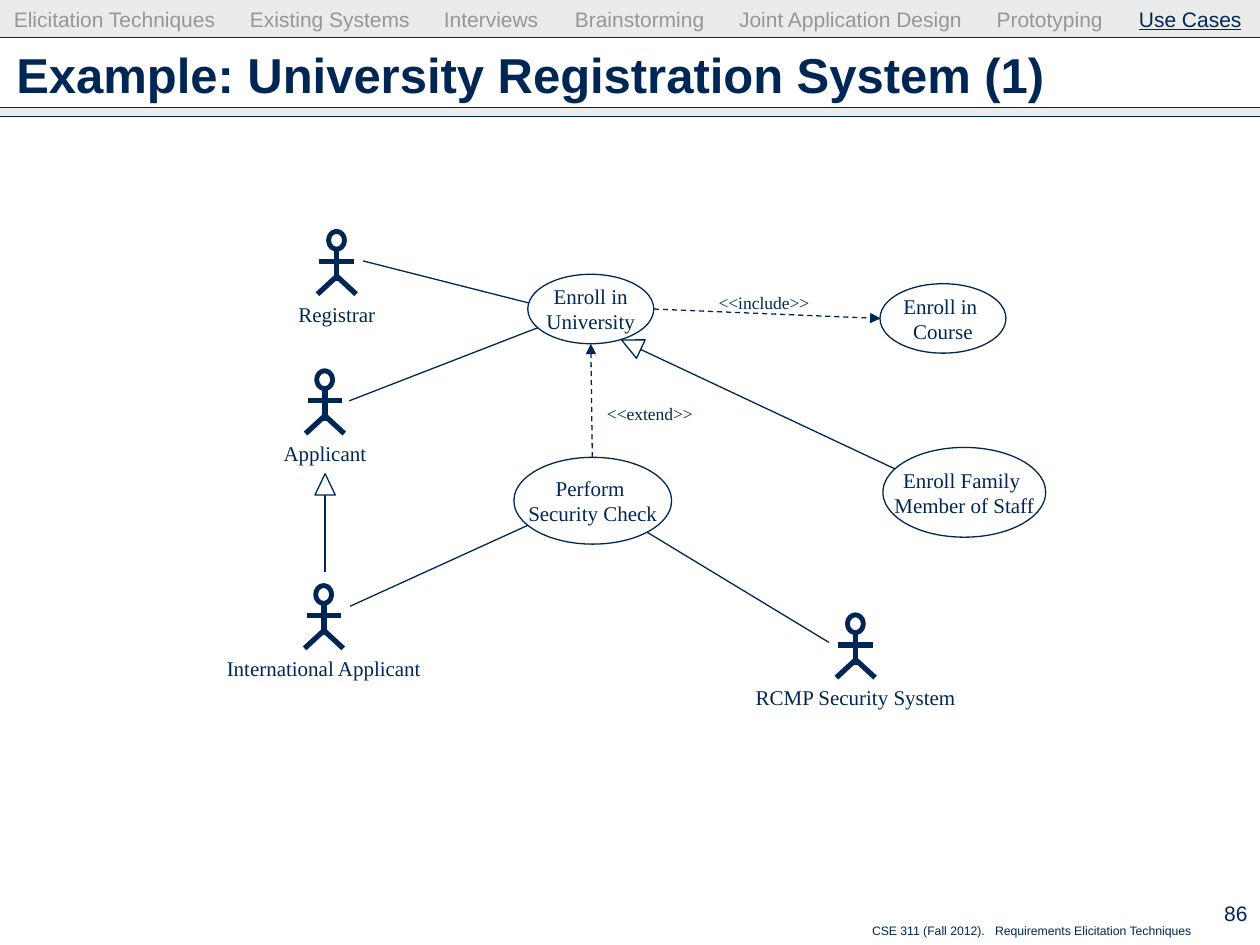
from dataclasses import dataclass

from lxml.etree import SubElement
from pptx import Presentation
from pptx.dml.color import RGBColor
from pptx.enum.dml import MSO_LINE_DASH_STYLE as Dash
from pptx.enum.shapes import MSO_CONNECTOR as Connector, MSO_SHAPE as Preset
from pptx.enum.text import MSO_ANCHOR as Anchor, PP_ALIGN as Align
from pptx.oxml.ns import qn
from pptx.util import Cm, Pt


@dataclass(frozen=True)
class Theme:
    navy: RGBColor = RGBColor(0x00, 0x26, 0x54)
    muted: RGBColor = RGBColor(0x96, 0x96, 0x96)
    band: RGBColor = RGBColor(0xCD, 0xCD, 0xCD)
    white: RGBColor = RGBColor(0xFF, 0xFF, 0xFF)
    sans: str = "Arial"
    serif: str = "Times New Roman"
    title: Pt = Pt(28)
    body: Pt = Pt(12)
    stereotype: Pt = Pt(10)
    footer: Pt = Pt(7)
    thin: Pt = Pt(0.75)
    thick: Pt = Pt(3)


theme = Theme()
prs = Presentation()
prs.slide_width, prs.slide_height = Cm(25.4), Cm(19.05)
slide = prs.slides.add_slide(prs.slide_layouts[6])
shapes = slide.shapes


def add_line(x1, y1, x2, y2, width=theme.thin, dependency=False):
    """Draw a line in cm; a dependency is dashed with an arrowhead at its end."""
    line = shapes.add_connector(Connector.STRAIGHT, Cm(x1), Cm(y1), Cm(x2), Cm(y2))
    line.line.color.rgb = theme.navy
    line.line.width = width
    if dependency:
        line.line.dash_style = Dash.DASH
        SubElement(line.line._get_or_add_ln(), qn("a:tailEnd"), type="triangle")
    SubElement(line._element.spPr, qn("a:effectLst"))


def write(holder, text, size=theme.body, font=theme.serif, align=Align.CENTER,
          anchor=Anchor.MIDDLE, margins=(0.25, 0.13), tabs=()):
    """Set one paragraph in a shape; margins (side, top) and tab stops in cm."""
    frame = holder.text_frame
    frame.word_wrap = False
    frame.vertical_anchor = anchor
    frame.margin_left = frame.margin_right = Cm(margins[0])
    frame.margin_top = frame.margin_bottom = Cm(margins[1])
    paragraph = frame.paragraphs[0]
    paragraph.text = text
    paragraph.alignment = align
    if tabs:
        stops = SubElement(paragraph._p.get_or_add_pPr(), qn("a:tabLst"))
        for stop in tabs:
            SubElement(stops, qn("a:tab"), pos=str(Cm(stop)), algn="l")
    paragraph.font.name = font
    paragraph.font.size = size
    paragraph.font.color.rgb = theme.navy
    return paragraph


# Header bands, rules and footer
footer = shapes.add_textbox(Cm(17.33), Cm(18.49), Cm(6.95), Cm(0.56))
write(footer, "CSE 311 (Fall 2012).\tRequirements Elicitation Techniques",
      theme.footer, theme.sans, Align.LEFT, Anchor.TOP, tabs=[2.48])

for top, height in [(0, 0.76), (2.16, 0.19)]:
    band = shapes.add_shape(Preset.RECTANGLE, 0, Cm(top), prs.slide_width, Cm(height))
    band.shadow.inherit = False
    band.fill.solid()
    band.fill.fore_color.rgb = theme.band
    color = band._element.spPr.find(qn("a:solidFill"))[0]
    SubElement(color, qn("a:alpha"), val="40000")
    band.line.fill.background()

for y in (0.76, 2.16, 2.35):
    add_line(0, y, 25.4, y)

title = shapes.add_textbox(Cm(0.33), Cm(0.65), Cm(24.74), Cm(1.7))
write(title, "Example: University Registration System (1)", theme.title,
      theme.sans, Align.LEFT, margins=(0, 0)).font.bold = True

# Associations and the two generalizations
for ends in [
    (12.7, 10.52, 16.71, 12.95),  # security check - RCMP
    (12.8, 6.99, 18.95, 9.88),    # family member - enroll in university
    (11.3, 6.27, 7.32, 5.26),     # university - registrar
    (11.76, 10.08, 7.06, 12.22),  # security check - international applicant
    (11.76, 6.25, 7.04, 8.08),    # university - applicant
    (6.55, 9.83, 6.55, 11.53),    # international applicant - applicant
]:
    add_line(*ends)

for left, top, rotation in [(12.52, 6.73, 295.2), (6.35, 9.55, 0)]:
    head = shapes.add_shape(Preset.ISOSCELES_TRIANGLE, Cm(left), Cm(top), Cm(0.41), Cm(0.43))
    head.shadow.inherit = False
    head.rotation = rotation
    head.fill.solid()
    head.fill.fore_color.rgb = theme.white
    head.line.color.rgb = theme.navy
    head.line.width = theme.thin

# Use cases
for text, left, top, width, height in [
    ("Perform \vSecurity Check", 10.36, 9.22, 3.18, 1.75),
    ("Enroll in\vUniversity", 10.64, 5.53, 2.54, 1.4),
    ("Enroll in \vCourse", 17.74, 5.72, 2.54, 1.4),
    ("Enroll Family \vMember of Staff", 17.8, 9.02, 3.28, 1.81),
]:
    use_case = shapes.add_shape(Preset.OVAL, Cm(left), Cm(top), Cm(width), Cm(height))
    use_case.shadow.inherit = False
    use_case.fill.solid()
    use_case.fill.fore_color.rgb = theme.white
    use_case.line.color.rgb = theme.navy
    use_case.line.width = theme.thin
    write(use_case, text)

# Dependencies
add_line(13.18, 6.23, 17.75, 6.42, dependency=True)
add_line(11.94, 9.22, 11.91, 6.93, dependency=True)
for text, left, top, width in [("<<include>>", 14.1, 5.75, 2.6),
                               ("<<extend>>", 11.85, 7.99, 2.5)]:
    stereotype = shapes.add_textbox(Cm(left), Cm(top), Cm(width), Cm(0.68))
    write(stereotype, text, theme.stereotype, anchor=Anchor.TOP)

# Actors, placed by the top centre of the head
for name, x, y, label_width in [
    ("Registrar", 6.79, 4.63, 2.5),
    ("Applicant", 6.55, 7.44, 2.5),
    ("International Applicant", 6.53, 11.77, 4.8),
    ("RCMP Security System", 17.25, 12.36, 4.8),
]:
    face = shapes.add_shape(Preset.DONUT, Cm(x - 0.2), Cm(y), Cm(0.39), Cm(0.43))
    face.shadow.inherit = False
    face.adjustments[0] = 0.18
    face.fill.solid()
    face.fill.fore_color.rgb = theme.navy
    face.line.color.rgb = theme.navy
    face.line.width = theme.thin
    add_line(x, y + 0.43, x, y + 1.04, theme.thick)
    add_line(x - 0.35, y + 0.64, x + 0.35, y + 0.64, theme.thick)
    for foot in (-0.39, 0.39):
        add_line(x + foot, y + 1.3, x, y + 0.94, theme.thick)
    label = shapes.add_textbox(Cm(x - label_width / 2), Cm(y + 1.31), Cm(label_width), Cm(0.77))
    write(label, name, anchor=Anchor.TOP)

# Section navigation and page number
navigation = shapes.add_textbox(Cm(0.03), Cm(0.13), Cm(25.32), Cm(0.63))
sections = ["Elicitation Techniques", "Existing Systems", "Interviews", "Brainstorming",
            "Joint Application Design", "Prototyping"]
trail = write(navigation, "\t".join(sections) + "\t", theme.body, theme.sans, Align.LEFT,
              Anchor.TOP, (0.25, 0), [4.76, 8.67, 11.31, 14.62, 19.81, 22.68])
trail.font.color.rgb = theme.muted
current = trail.add_run()
current.text = "Use Cases"
current.font.color.rgb = theme.navy
current.font.underline = True

page_number = shapes.add_textbox(Cm(23.62), Cm(17.98), Cm(1.78), Cm(0.86))
write(page_number, "86", theme.body, theme.sans, Align.RIGHT)

prs.save("out.pptx")
